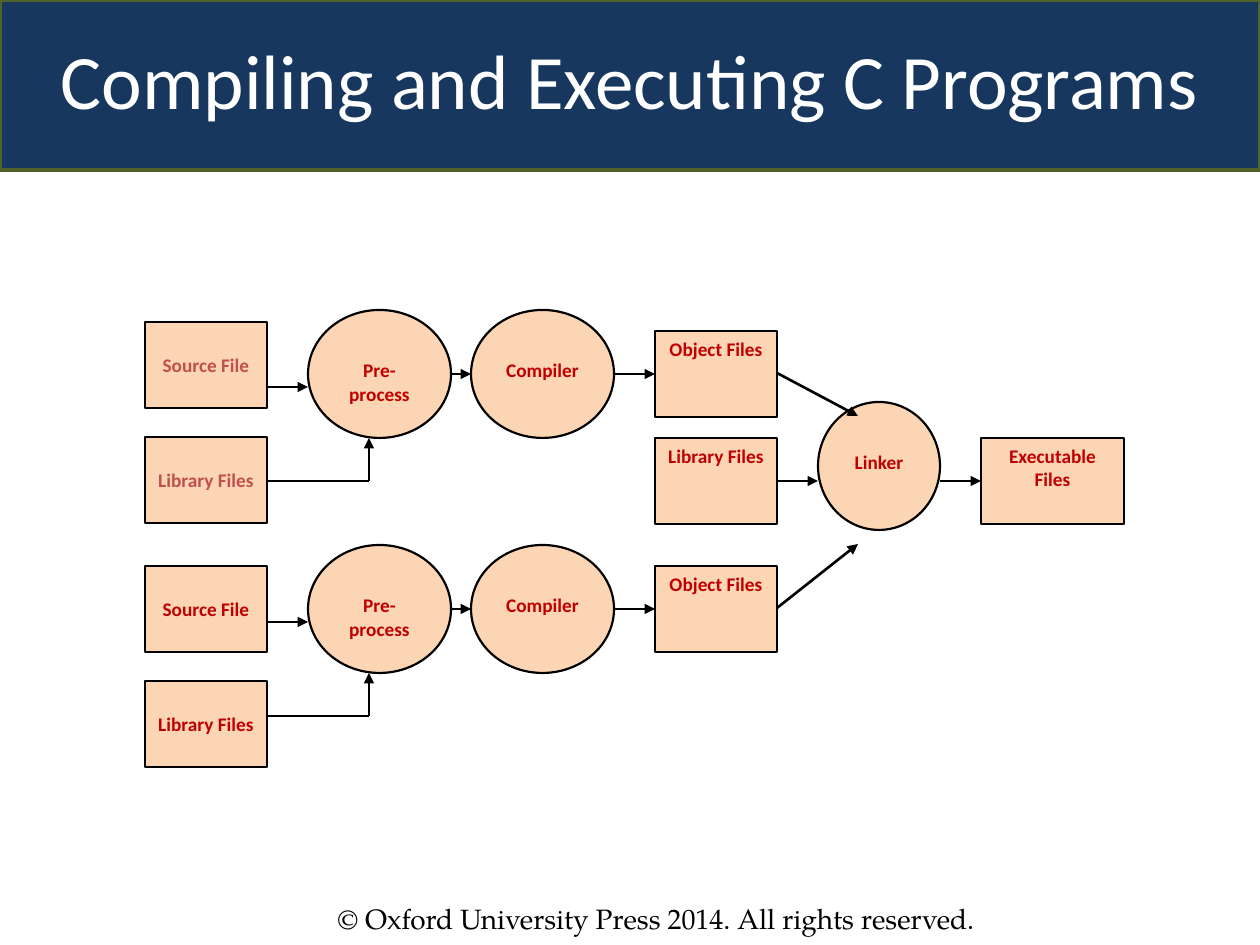
from pptx import Presentation
from pptx.dml.color import RGBColor
from pptx.enum.shapes import MSO_CONNECTOR as CONN, MSO_SHAPE as SHAPE
from pptx.enum.text import MSO_ANCHOR as ANCHOR, MSO_AUTO_SIZE as AUTO, PP_ALIGN as ALIGN
from pptx.oxml.ns import qn
from pptx.util import Emu, Pt
from lxml.etree import SubElement

SCALE = 914400 / 126
W, H = 1260, 945
BOX_W, BOX_H = 122, 86
OVAL_W, OVAL_H = 143, 128
RED, PALE_RED = "C00000", "C0504D"


def px(n):
    return Emu(round(n * SCALE))


def rgb(hex_color):
    return RGBColor.from_string(hex_color)


def outline(sp, fill, line, width):
    sp.fill.solid()
    sp.fill.fore_color.rgb = rgb(fill)
    sp.line.color.rgb = rgb(line)
    sp.line.width = Pt(width)


def write(tf, text, size, color, font="Calibri", bold=False, align=ALIGN.CENTER):
    tf.word_wrap = True
    p = tf.paragraphs[0]
    p.text = text
    p.alignment = align
    p.font.size = Pt(size)
    p.font.name = font
    p.font.bold = bold
    p.font.color.rgb = rgb(color)
    return p


def node(s, kind, x, y, w, h, text, color=RED, anchor=ANCHOR.TOP, top=6):
    sp = s.shapes.add_shape(kind, px(x), px(y), px(w), px(h))
    sp.shadow.inherit = False
    outline(sp, "FCD5B5", "000000", 1.25)
    tf = sp.text_frame
    tf.vertical_anchor = anchor
    tf.margin_top = px(top)
    write(tf, text, 11, color, bold=True)


def file_box(s, x, y, text, w=BOX_W, **style):
    node(s, SHAPE.RECTANGLE, x, y, w, BOX_H, text, **style)


def step(s, x, y, text, w=OVAL_W):
    node(s, SHAPE.OVAL, x, y, w, OVAL_H, text, top=30)


def connect(s, x1, y1, x2, y2, arrow=True):
    c = s.shapes.add_connector(CONN.STRAIGHT, px(x1), px(y1), px(x2), px(y2))
    c.line.color.rgb = rgb("000000")
    c.line.width = Pt(1.5)
    if arrow:
        SubElement(c.line._get_or_add_ln(), qn("a:tailEnd"), type="triangle")
    SubElement(c._element.spPr, qn("a:effectLst"))


def title_bar(s, x, y, w, h):
    sp = s.shapes.title
    sp.left, sp.top, sp.width, sp.height = px(x), px(y), px(w), px(h)
    outline(sp, "17375E", "4F6228", 2)
    tf = sp.text_frame
    tf.auto_size = AUTO.NONE
    tf.vertical_anchor = ANCHOR.MIDDLE
    p = write(tf, "Compiling and Executing C Programs", 44, "FFFFFF")
    p.line_spacing = 0.9


def compile_lane(s, x, y, files_dy, files_color):
    inputs_right, pre_x, elbow_x, compiler_x, object_x = (
        x + dx for dx in (BOX_W, 163, 224, 326, 510))
    mid, source_y, elbow_y = y + OVAL_H // 2, y + 77, y + 171
    for i, text in enumerate(("Source File", "Library Files")):
        file_box(s, x, y + files_dy + 115 * i, text, color=files_color, anchor=ANCHOR.MIDDLE)
    connect(s, inputs_right, source_y, pre_x, source_y)
    connect(s, inputs_right, elbow_y, elbow_x, elbow_y, arrow=False)
    connect(s, elbow_x, elbow_y, elbow_x, y + OVAL_H)
    step(s, pre_x, y, "Pre-process")
    connect(s, pre_x + OVAL_W, mid, compiler_x, mid)
    step(s, compiler_x, y, "Compiler")
    connect(s, compiler_x + OVAL_W, mid, object_x, mid)
    file_box(s, object_x, y + 21, "Object Files")


def link_stage(s, x, y):
    linker_x, exe_x, mid = x + 163, x + 326, y + 43
    right = x + BOX_W
    file_box(s, x, y, "Library Files")
    step(s, linker_x, y - 36, "Linker", w=BOX_W)
    connect(s, right, mid, linker_x, mid)
    connect(s, right, y + 170, x + 203, y + 106)
    connect(s, right, y - 65, x + 203, y - 22)
    connect(s, linker_x + BOX_W, mid, exe_x, mid)
    file_box(s, exe_x, y, "Executable Files", w=OVAL_W)


def footer(s, x, y, w, h):
    tf = s.shapes.add_textbox(px(x), px(y), px(w), px(h)).text_frame
    write(tf, "© Oxford University Press 2014. All rights reserved.", 16, "000000",
          font="TeX Gyre Pagella", align=ALIGN.LEFT)


def main():
    prs = Presentation()
    prs.slide_width, prs.slide_height = px(W), px(H)
    s = prs.slides.add_slide(prs.slide_layouts[5])
    title_bar(s, 0, 0, W, 170)
    compile_lane(s, 145, 310, 12, PALE_RED)
    compile_lane(s, 145, 545, 21, RED)
    link_stage(s, 655, 438)
    footer(s, 325, 895, 746, 47)
    prs.save("out.pptx")


if __name__ == "__main__":
    main()
